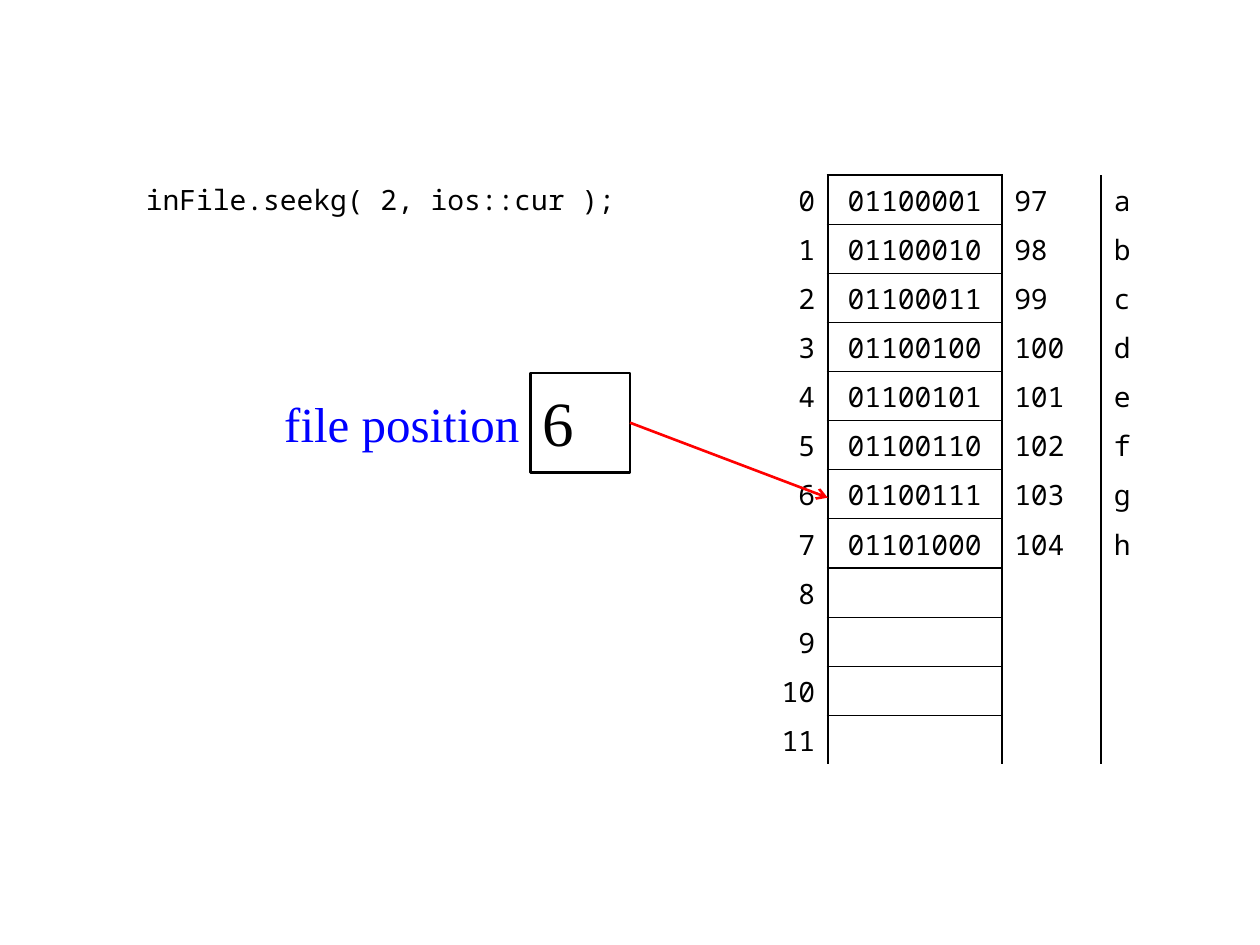
"""Build a slide showing how seekg moves the file position over the bytes of a file."""
from dataclasses import dataclass

from lxml.etree import SubElement
from pptx import Presentation
from pptx.dml.color import RGBColor
from pptx.enum.shapes import MSO_CONNECTOR, MSO_SHAPE
from pptx.enum.text import MSO_ANCHOR, PP_ALIGN
from pptx.oxml.ns import qn
from pptx.util import Inches, Pt


@dataclass(frozen=True)
class Theme:
    ink: str = "000000"
    label: str = "0000FF"
    pointer: str = "FF0000"
    paper: str = "FFFFFF"
    mono: str = "Noto Sans Mono"
    serif: str = "Times New Roman"
    code_size: int = 16
    label_size: int = 28
    position_size: int = 36
    frame: float = 1.5
    rule: float = 0.75


@dataclass(frozen=True)
class Box:
    left: float
    top: float
    width: float
    height: float

    def lengths(self) -> tuple:
        return tuple(Inches(n) for n in (self.left, self.top, self.width, self.height))


@dataclass(frozen=True)
class Label:
    text: str
    box: Box
    font: str
    size: int
    color: str
    align: PP_ALIGN = PP_ALIGN.LEFT


THEME = Theme()
NO_STYLE = "{2D5ABB26-0587-4C30-8999-92F81FD0307C}"
ADDRESSES = 12
STORED = "abcdefgh"
ROW_HEIGHT = 0.39
COLUMN_WIDTHS = (0.59, 1.38, 0.79, 0.39)
COLUMN_ALIGNS = (PP_ALIGN.RIGHT, PP_ALIGN.CENTER, PP_ALIGN.LEFT, PP_ALIGN.LEFT)
MEMORY = Box(5.98, 1.39, sum(COLUMN_WIDTHS), ADDRESSES * ROW_HEIGHT)
POSITION = Box(4.21, 2.96, 0.79, 0.79)
LABELS = (
    Label("inFile.seekg( 2, ios::cur );", Box(1.06, 1.39, 4.13, 0.39),
          THEME.mono, THEME.code_size, THEME.ink),
    Label("file position", Box(0.87, 2.96, 3.35, 0.79),
          THEME.serif, THEME.label_size, THEME.label, PP_ALIGN.RIGHT),
)


def write(frame, text: str, font: str, size: int, color: str, align: PP_ALIGN) -> None:
    """Put one formatted line into a text frame."""
    paragraph = frame.paragraphs[0]
    paragraph.alignment = align
    if not text:
        end = SubElement(paragraph._p, qn("a:endParaRPr"), sz=str(size * 100))
        SubElement(end, qn("a:latin"), typeface=font)
        return
    run = paragraph.add_run()
    run.text = text
    for name, value in {"name": font, "size": Pt(size)}.items():
        setattr(run.font, name, value)
    run.font.color.rgb = RGBColor.from_string(color)


def add_label(slide, label: Label) -> None:
    """Add a transparent text box."""
    frame = slide.shapes.add_textbox(*label.box.lengths()).text_frame
    for name, value in {"word_wrap": True, "vertical_anchor": MSO_ANCHOR.MIDDLE}.items():
        setattr(frame, name, value)
    write(frame, label.text, label.font, label.size, label.color, label.align)


def set_borders(cell, widths: dict[str, float]) -> None:
    """Draw the given cell sides, listed in the order left, right, top, bottom."""
    properties = cell._tc.get_or_add_tcPr()
    for index, (side, width) in enumerate(widths.items()):
        line = properties.makeelement(qn(f"a:{side}"), {"w": str(Pt(width))})
        fill = SubElement(line, qn("a:solidFill"))
        SubElement(fill, qn("a:srgbClr"), val=THEME.ink)
        properties.insert(index, line)


def borders_for(row: int, column: int) -> dict[str, float]:
    """Give the border widths that frame the byte column."""
    if column == 0:
        return {"lnR": THEME.frame}
    if column == 2:
        return {"lnL": THEME.frame}
    if column == 3:
        return {}
    sides = {"lnL": THEME.frame, "lnR": THEME.frame,
             "lnT": THEME.rule if row else THEME.frame}
    if row < ADDRESSES - 1:
        sides["lnB"] = THEME.rule
    return sides


def row_texts(address: int) -> tuple[str, ...]:
    """Give address, bits, code and character of one byte."""
    if address >= len(STORED):
        return str(address), "", "", ""
    character = STORED[address]
    code = ord(character)
    return str(address), f"{code:08b}", str(code), character


def add_memory(slide) -> None:
    """Add the table of file bytes."""
    table = slide.shapes.add_table(ADDRESSES, len(COLUMN_WIDTHS), *MEMORY.lengths()).table
    table._tbl.tblPr.find(qn("a:tableStyleId")).text = NO_STYLE
    for name, value in {"first_row": False, "horz_banding": False}.items():
        setattr(table, name, value)
    for column, width in zip(table.columns, COLUMN_WIDTHS):
        column.width = Inches(width)
    cell_format = {
        "vertical_anchor": MSO_ANCHOR.MIDDLE,
        "margin_left": Inches(0.1), "margin_right": Inches(0.1),
        "margin_top": Inches(0.05), "margin_bottom": Inches(0.05),
    }
    for address, row in enumerate(table.rows):
        row.height = Inches(ROW_HEIGHT)
        for column, text in enumerate(row_texts(address)):
            cell = table.cell(address, column)
            for name, value in cell_format.items():
                setattr(cell, name, value)
            cell.fill.solid()
            cell.fill.fore_color.rgb = RGBColor.from_string(THEME.paper)
            set_borders(cell, borders_for(address, column))
            write(cell.text_frame, text, THEME.mono, THEME.code_size, THEME.ink,
                  COLUMN_ALIGNS[column])


def add_position(slide) -> None:
    """Add the framed file position."""
    square = slide.shapes.add_shape(MSO_SHAPE.RECTANGLE, *POSITION.lengths())
    square.shadow.inherit = False
    square.fill.background()
    square.line.color.rgb = RGBColor.from_string(THEME.ink)
    square.line.width = Pt(THEME.frame)
    frame_format = {
        "word_wrap": True, "vertical_anchor": MSO_ANCHOR.MIDDLE,
        "margin_left": Inches(0.1), "margin_right": Inches(0.1),
        "margin_top": Inches(0), "margin_bottom": Inches(0.02),
    }
    for name, value in frame_format.items():
        setattr(square.text_frame, name, value)
    write(square.text_frame, "6", THEME.serif, THEME.position_size, THEME.ink, PP_ALIGN.LEFT)


def add_pointer(slide) -> None:
    """Add the arrow from the file position to its byte."""
    start_x, start_y = POSITION.left + POSITION.width, POSITION.top + POSITION.height / 2
    ends = (start_x, start_y, MEMORY.left + COLUMN_WIDTHS[0], 3.95)
    pointer = slide.shapes.add_connector(MSO_CONNECTOR.STRAIGHT, *map(Inches, ends))
    pointer.line.color.rgb = RGBColor.from_string(THEME.pointer)
    pointer.line.width = Pt(THEME.frame)
    SubElement(pointer.line._get_or_add_ln(), qn("a:tailEnd"), type="arrow")
    SubElement(pointer._element.spPr, qn("a:effectLst"))


def main() -> None:
    """Build and save the slide."""
    presentation = Presentation()
    for name, value in {"slide_width": Inches(10), "slide_height": Inches(7.5)}.items():
        setattr(presentation, name, value)
    slide = presentation.slides.add_slide(presentation.slide_layouts[6])
    for label in LABELS:
        add_label(slide, label)
    add_memory(slide)
    add_position(slide)
    add_pointer(slide)
    presentation.save("out.pptx")


if __name__ == "__main__":
    main()
